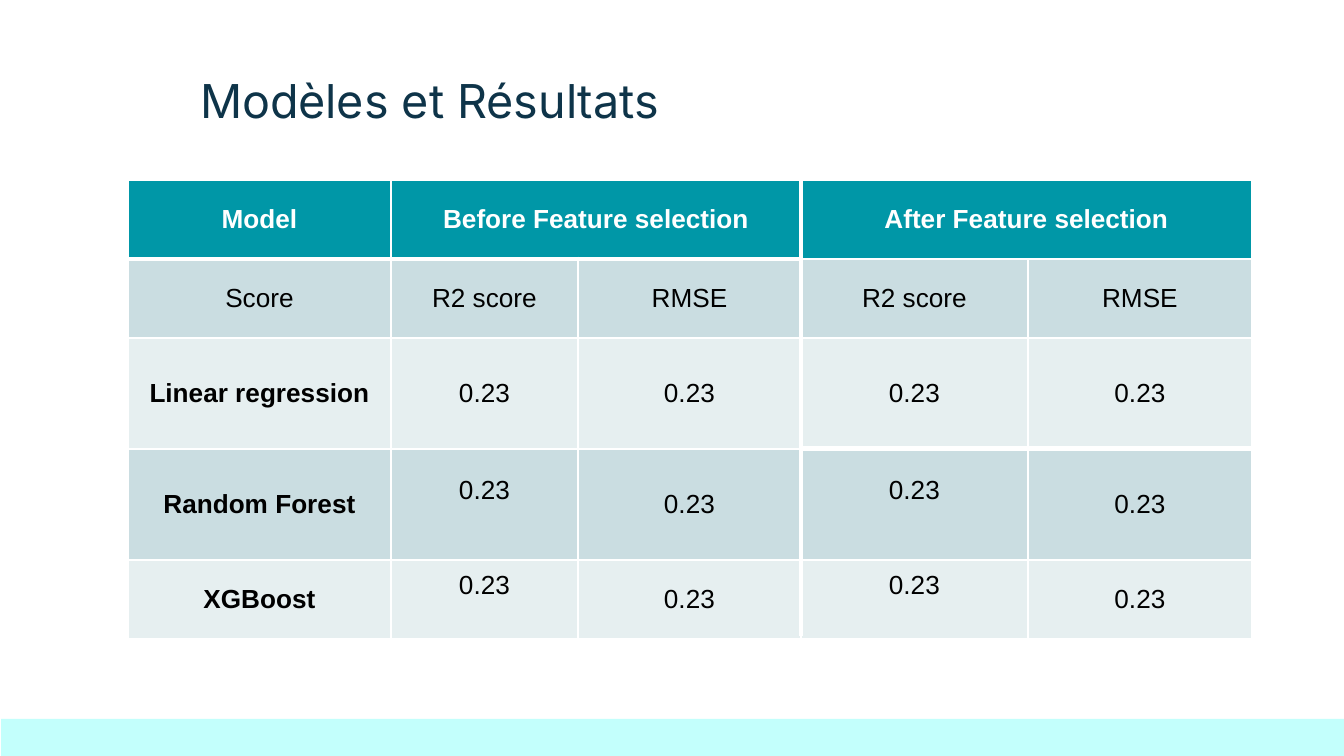
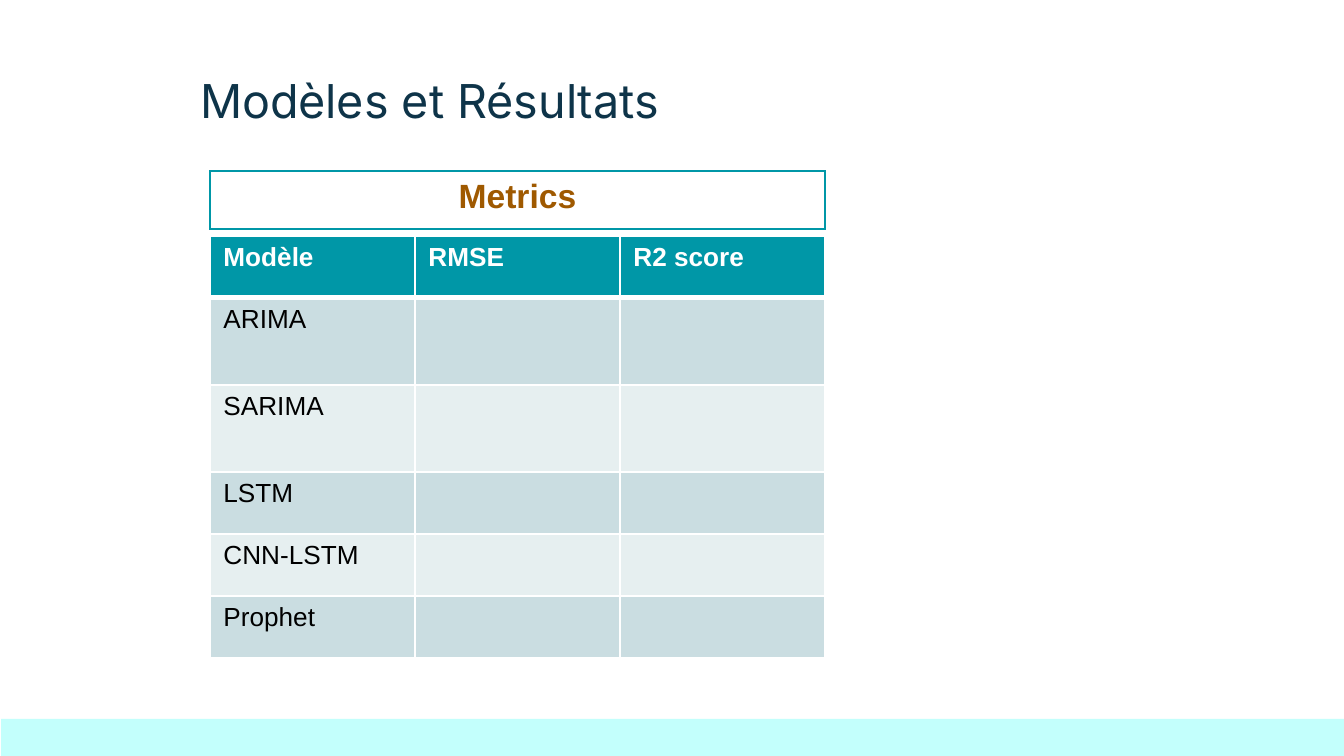
from lxml.etree import SubElement
from pptx import Presentation
from pptx.dml.color import RGBColor
from pptx.enum.shapes import MSO_CONNECTOR as Connector, MSO_SHAPE as Shape
from pptx.enum.text import MSO_ANCHOR as Anchor, MSO_AUTO_SIZE as AutoSize, PP_ALIGN as Align
from pptx.oxml.ns import qn
from pptx.util import Emu, Pt

SCALE = 914400 / 134.4
WIDTH, HEIGHT = 1344, 756


def px(length):
    return Emu(round(length * SCALE))


def rgb(color):
    return RGBColor.from_string(color)


class Deck:
    NAVY, TEAL, AQUA, BROWN = "0E3449", "0097A7", "C3FFFC", "9F5900"
    WHITE, BLACK = "FFFFFF", "000000"
    BANDS = ("E6EFF0", "CADDE1")
    TITLE_FONT, TABLE_FONT = "Inter", "Arial"

    def __init__(self):
        self.presentation = Presentation()
        self.presentation.slide_width = px(WIDTH)
        self.presentation.slide_height = px(HEIGHT)
        self.slide = None

    def start(self, heading):
        self.slide = self.presentation.slides.add_slide(self.presentation.slide_layouts[0])
        subtitle = self.slide.placeholders[1].element
        subtitle.getparent().remove(subtitle)
        self.title(heading)
        self.footer()

    def font(self, paragraph, name, size, color, bold=False):
        for run in paragraph.runs:
            run.font.name = name
            run.font.size = Pt(size)
            run.font.bold = bold
            run.font.color.rgb = rgb(color)

    def title(self, heading):
        title = self.slide.shapes.title
        title.left, title.top, title.width, title.height = map(px, (187, 59, 918, 78))
        frame = title.text_frame
        frame.text = heading
        frame.word_wrap = True
        frame.auto_size = AutoSize.NONE
        frame.vertical_anchor = Anchor.TOP
        frame.margin_left = frame.margin_right = px(13)
        frame.margin_top = frame.margin_bottom = px(13)
        frame.paragraphs[0].alignment = Align.LEFT
        self.font(frame.paragraphs[0], self.TITLE_FONT, 25, self.NAVY)

    def footer(self):
        band = self.slide.shapes.add_shape(
            Shape.RECTANGLE, px(1), px(719), px(WIDTH - 1), px(HEIGHT - 719))
        band.shadow.inherit = False
        band.fill.solid()
        band.fill.fore_color.rgb = rgb(self.AQUA)
        band.line.fill.background()

    def table(self, left, top, columns, rows):
        table = self.slide.shapes.add_table(
            len(rows), len(columns), px(left), px(top), px(sum(columns)), px(sum(rows))).table
        table.first_row = table.horz_banding = False
        for column, width in zip(table.columns, columns):
            column.width = px(width)
        for row, height in zip(table.rows, rows):
            row.height = px(height)
        return table

    def borders(self, cell, color, width, **special):
        properties = cell._tc.get_or_add_tcPr()
        for side in "LRTB":
            line = SubElement(properties, qn(f"a:ln{side}"),
                              w=str(Pt(special.get(side, width))))
            fill = SubElement(line, qn("a:solidFill"))
            SubElement(fill, qn("a:srgbClr"), val=color)

    def cell(self, cell, text, size, color, bold, align, anchor):
        cell.text = text
        cell.vertical_anchor = anchor
        paragraph = cell.text_frame.paragraphs[0]
        paragraph.alignment = align
        self.font(paragraph, self.TABLE_FONT, size, color, bold)

    def banded_table(self, left, top, columns, rows, content, thick_below,
                     align=Align.LEFT, anchor=Anchor.TOP, bold_labels=()):
        table = self.table(left, top, columns, rows)
        for r, texts in enumerate(content):
            for c, text in enumerate(texts):
                cell = table.cell(r, c)
                header = r == 0
                self.borders(cell, self.WHITE, 1,
                             T=3 if (r - 1, c) in thick_below else 1,
                             B=3 if (r, c) in thick_below else 1)
                cell.fill.solid()
                cell.fill.fore_color.rgb = rgb(self.TEAL if header else self.BANDS[r % 2])
                self.cell(cell, text, 14, self.WHITE if header else self.BLACK,
                          header or text in bold_labels, align, anchor)
        return table

    def caption_table(self, left, top, width, height, text):
        cell = self.table(left, top, [width], [height]).cell(0, 0)
        self.borders(cell, self.TEAL, 0.75)
        cell.fill.background()
        self.cell(cell, text, 18, self.BROWN, True, Align.CENTER, Anchor.TOP)

    def divider(self, x, top, bottom):
        divider = self.slide.shapes.add_connector(
            Connector.STRAIGHT, px(x), px(top), px(x), px(bottom))
        divider.line.color.rgb = rgb(self.WHITE)
        divider.line.width = Pt(2.25)
        SubElement(divider._element.spPr, qn("a:effectLst"))


deck = Deck()
HEADING = "Modèles et Résultats"

deck.start(HEADING)
models = ["Linear regression", "Random Forest", "XGBoost"]
comparison = [
    ["Model", "Before Feature selection", "", "After Feature selection", ""],
    ["Score"] + ["R2 score", "RMSE"] * 2,
] + [[model] + ["0.23"] * 4 for model in models]
scores = deck.banded_table(
    128, 180, [263, 187, 223, 227, 224], [79, 79, 111, 111, 79], comparison,
    thick_below={(0, 0), (0, 1), (0, 2), (2, 3), (2, 4)},
    align=Align.CENTER, anchor=Anchor.MIDDLE, bold_labels=models)
for first in (1, 3):
    scores.cell(0, first).merge(scores.cell(0, first + 1))
    for raised_row in (3, 4):
        scores.cell(raised_row, first).margin_bottom = px(35)
deck.divider(801, 180, 636)

deck.start(HEADING)
forecasts = ["ARIMA", "SARIMA", "LSTM", "CNN-LSTM", "Prophet"]
deck.banded_table(
    210, 236, [205] * 3, [62, 87, 87, 62, 62, 62],
    [["Modèle", "RMSE", "R2 score"]] + [[model, "", ""] for model in forecasts],
    thick_below={(0, c) for c in range(3)})
deck.caption_table(210, 171, 615, 58, "Metrics")

deck.presentation.save("out.pptx")
